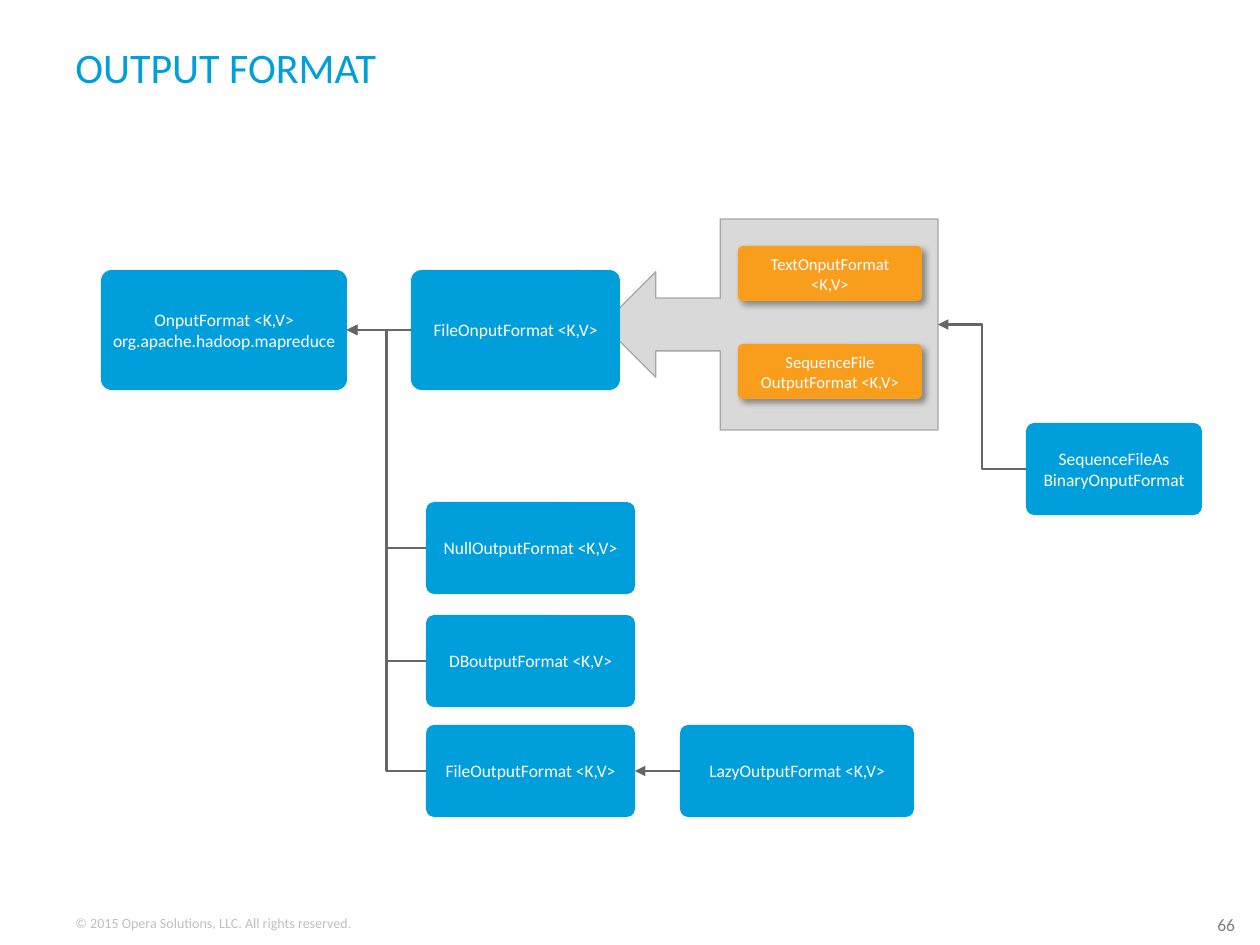
from lxml import etree
from pptx import Presentation
from pptx import util as u
from pptx.dml.color import RGBColor
from pptx.enum import shapes, text
from pptx.oxml import ns

PX = 914400 / 126
BLUE = RGBColor(0x00, 0x9E, 0xDB)
ORANGE = RGBColor(0xF9, 0x9D, 0x1C)
WHITE = RGBColor(0xFF, 0xFF, 0xFF)
PALE = RGBColor(0xD9, 0xD9, 0xD9)
EDGE = RGBColor(0xA6, 0xA6, 0xA6)
LINE = RGBColor(0x66, 0x66, 0x66)
PAGE_GREY = RGBColor(0x80, 0x80, 0x80)
FOOT_GREY = RGBColor(0xBF, 0xBF, 0xBF)

# (left, top, width, height), words, size, colour, anchor, wrap
LABELS = [
    ((1205, 908, 55, 34), "66", 10, PAGE_GREY, "TOP", True),
    ((63, 908, 305, 30), "© 2015 Opera Solutions, LLC. All rights reserved.",
     8, FOOT_GREY, "TOP", False),
    ((63, 28, 987, 78), "OUTPUT FORMAT", 24, BLUE, "MIDDLE", True),
]
CALLOUT = (603, 219, 335, 211)
BRANCH_LEFT, BRANCH_WIDTH, LOW = 426, 209, 92
CLASSES = {
    "output": ((101, 270, 246, 120), ["OnputFormat <K,V>", "org.apache.hadoop.mapreduce"]),
    "file": ((411, 270, BRANCH_WIDTH, 120), ["FileOnputFormat <K,V>"]),
    "null": ((BRANCH_LEFT, 502, BRANCH_WIDTH, LOW), ["NullOutputFormat <K,V>"]),
    "db": ((BRANCH_LEFT, 615, BRANCH_WIDTH, LOW), ["DBoutputFormat <K,V>"]),
    "file output": ((BRANCH_LEFT, 725, BRANCH_WIDTH, LOW), ["FileOutputFormat <K,V>"]),
    "lazy": ((680, 725, 234, LOW), ["LazyOutputFormat <K,V>"]),
    "binary": ((1026, 423, 176, LOW), ["SequenceFileAs BinaryOnputFormat"]),
}
FILE_KINDS = [
    ((738, 246, 184, 55), ["TextOnputFormat", "<K,V>"]),
    ((738, 344, 184, 55), ["SequenceFile OutputFormat <K,V>"]),
]
# child, parent, connector type
LINKS = [
    ("lazy", "file output", "STRAIGHT"),
    ("file", "output", "STRAIGHT"),
    ("null", "output", "ELBOW"),
    ("db", "output", "ELBOW"),
    ("file output", "output", "ELBOW"),
    ("binary", "callout", "ELBOW"),
]


def px(*lengths):
    return [u.Emu(round(length * PX)) for length in lengths]


def write(frame, lines, size, color, align, **frame_format):
    for name, value in frame_format.items():
        setattr(frame, name, value)
    for index, line in enumerate(lines):
        para = frame.paragraphs[0] if index == 0 else frame.add_paragraph()
        para.alignment = align
        span = para.add_run()
        span.text = line
        for name, value in {"name": "Calibri", "size": u.Pt(size)}.items():
            setattr(span.font, name, value)
        span.font.color.rgb = color


def add_box(page, place, lines, fill, size):
    box = page.shapes.add_shape(shapes.MSO_SHAPE.ROUNDED_RECTANGLE, *px(*place))
    box.adjustments[0] = 0.09
    box.fill.solid()
    box.fill.fore_color.rgb = fill
    box.line.fill.background()
    box.shadow.inherit = False
    write(box.text_frame, lines, size, WHITE, text.PP_ALIGN.CENTER,
          margin_left=0, margin_top=0, margin_right=0, margin_bottom=0,
          word_wrap=True, vertical_anchor=text.MSO_ANCHOR.MIDDLE)
    return box


def add_shadow(box):
    effects = box._element.spPr.find(ns.qn("a:effectLst"))
    shadow = etree.SubElement(effects, ns.qn("a:outerShdw"), blurRad=str(u.Pt(4)),
                              dist=str(u.Pt(3)), dir="2700000", algn="tl", rotWithShape="0")
    color = etree.SubElement(shadow, ns.qn("a:srgbClr"), val="000000")
    etree.SubElement(color, ns.qn("a:alpha"), val="40000")


def add_link(page, child, parent, kind):
    link = page.shapes.add_connector(getattr(shapes.MSO_CONNECTOR, kind), 0, 0, 0, 0)
    link.begin_connect(child, 1)
    link.end_connect(parent, 3)
    link.line.color.rgb = LINE
    link.line.width = u.Pt(1.5)
    etree.SubElement(link.line._get_or_add_ln(), ns.qn("a:tailEnd"), type="triangle")
    etree.SubElement(link._element.spPr, ns.qn("a:effectLst"))


def main():
    deck = Presentation()
    deck.slide_width, deck.slide_height = px(1260, 945)
    page = deck.slides.add_slide(deck.slide_layouts[6])

    # Title, footer and page number
    for place, words, size, color, anchor, wrap in LABELS:
        box = page.shapes.add_textbox(*px(*place))
        write(box.text_frame, [words], size, color, text.PP_ALIGN.LEFT,
              word_wrap=wrap, vertical_anchor=getattr(text.MSO_ANCHOR, anchor))

    # Callout behind the boxes
    callout = page.shapes.add_shape(shapes.MSO_SHAPE.LEFT_ARROW_CALLOUT, *px(*CALLOUT))
    callout.fill.solid()
    callout.fill.fore_color.rgb = PALE
    callout.line.color.rgb = EDGE
    callout.line.width = u.Pt(0.75)
    callout.shadow.inherit = False

    # Class boxes
    boxes = {name: add_box(page, place, lines, BLUE, 10)
             for name, (place, lines) in CLASSES.items()}
    boxes["callout"] = callout
    for place, lines in FILE_KINDS:
        add_shadow(add_box(page, place, lines, ORANGE, 9.5))

    # Inheritance arrows
    for child, parent, kind in LINKS:
        add_link(page, boxes[child], boxes[parent], kind)

    deck.save("out.pptx")


if __name__ == "__main__":
    main()
